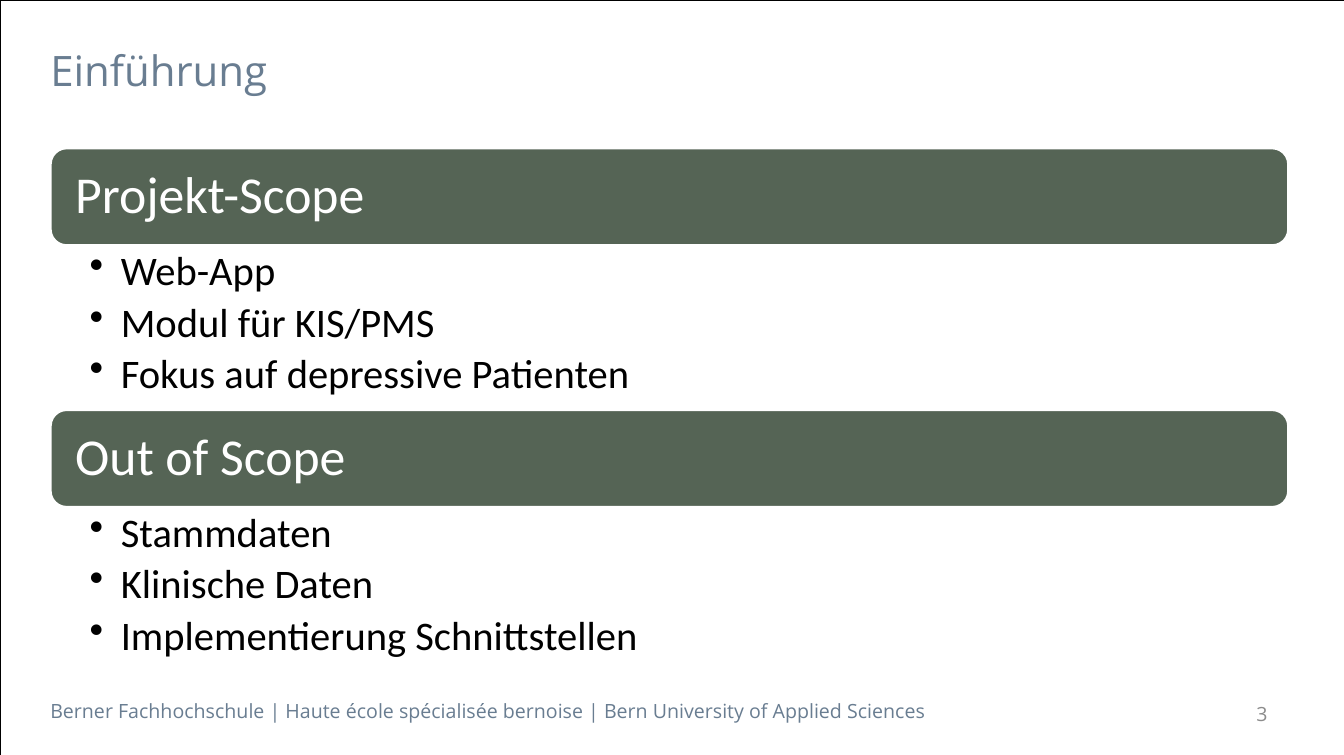
from lxml.etree import SubElement
from pptx import Presentation
from pptx.dml.color import RGBColor
from pptx.enum.shapes import MSO_SHAPE
from pptx.enum.text import MSO_ANCHOR, MSO_AUTO_SIZE, PP_ALIGN
from pptx.oxml.ns import qn
from pptx.util import Inches, Pt

WIDTH, HEIGHT = 13.35, 7.5
LEFT, CONTENT_W = 0.5, 12.3
TOP, HEADER_H, LIST_H = 1.47, 0.97, 1.63

COLORS = {
    "slate": "697D91",
    "green": "556455",
    "white": "FFFFFF",
    "black": "000000",
    "gray": "8C8C8C",
}

SECTIONS = [
    ("Projekt-Scope",
     ["Web-App", "Modul für KIS/PMS", "Fokus auf depressive Patienten"]),
    ("Out of Scope",
     ["Stammdaten", "Klinische Daten", "Implementierung Schnittstellen"]),
]


class SlideBuilder:
    heading_font = "Open Sans"
    body_font = "Calibri"

    def __init__(self, prs):
        self.s = prs.slides.add_slide(prs.slide_layouts[5])

    def color(self, name):
        return RGBColor.from_string(COLORS[name])

    def frame(self, sp, insets, anchor=MSO_ANCHOR.TOP):
        """Prepare the text frame; insets run left, top, right, bottom."""
        tf = sp.text_frame
        tf.word_wrap = True
        tf.auto_size = MSO_AUTO_SIZE.NONE
        tf.vertical_anchor = anchor
        tf.margin_left, tf.margin_top, tf.margin_right, tf.margin_bottom = map(
            Inches, insets)
        return tf

    def style(self, p, font, size, color, align=PP_ALIGN.LEFT):
        p.alignment = align
        for r in p.runs:
            r.font.name = font
            r.font.size = Pt(size)
            r.font.color.rgb = self.color(color)

    def shape(self, kind, box, line, width, fill=None):
        sp = self.s.shapes.add_shape(kind, *map(Inches, box))
        sp.shadow.inherit = False
        if fill:
            sp.fill.solid()
            sp.fill.fore_color.rgb = self.color(fill)
        else:
            sp.fill.background()
        sp.line.color.rgb = self.color(line)
        sp.line.width = Pt(width)
        return sp

    def border(self):
        self.shape(MSO_SHAPE.RECTANGLE, (0, 0, WIDTH, HEIGHT), "black", 0.5)

    def title(self, text, box):
        sp = self.s.shapes.title
        sp.left, sp.top, sp.width, sp.height = map(Inches, box)
        tf = self.frame(sp, (0, 0.05, 0, 0.05))
        tf.text = text
        self.style(tf.paragraphs[0], self.heading_font, 30, "slate")

    def label(self, text, box, color, insets, anchor=MSO_ANCHOR.TOP,
              align=PP_ALIGN.LEFT):
        sp = self.s.shapes.add_textbox(*map(Inches, box))
        tf = self.frame(sp, insets, anchor)
        tf.text = text
        self.style(tf.paragraphs[0], self.heading_font, 14, color, align)

    def header(self, text, top):
        sp = self.shape(MSO_SHAPE.ROUNDED_RECTANGLE,
                        (LEFT, top, CONTENT_W, HEADER_H), "white", 2, "green")
        tf = self.frame(sp, (0.2, 0.2, 0.2, 0.2), MSO_ANCHOR.MIDDLE)
        tf.text = text
        p = tf.paragraphs[0]
        p.line_spacing = 0.9
        self.style(p, self.body_font, 37, "white")

    def bullets(self, items, top):
        sp = self.s.shapes.add_textbox(
            *map(Inches, (LEFT, top, CONTENT_W, LIST_H)))
        tf = self.frame(sp, (0.39, 0.05, 0.29, 0.05))
        tf.text = "\n".join(items)
        for p in tf.paragraphs:
            p.level = 1
            p.line_spacing = 0.9
            p.space_after = Pt(5.5)
            pPr = p._p.get_or_add_pPr()
            pPr.set("marL", str(Inches(0.31)))
            pPr.set("indent", str(-Inches(0.31)))
            SubElement(pPr, qn("a:buChar")).set("char", "•")
            self.style(p, self.body_font, 29, "black")


def main():
    prs = Presentation()
    prs.slide_width, prs.slide_height = Inches(WIDTH), Inches(HEIGHT)
    slide = SlideBuilder(prs)

    slide.border()
    slide.title("Einführung", (LEFT, 0.39, CONTENT_W, 0.59))
    for i, (heading, items) in enumerate(SECTIONS):
        top = TOP + i * (HEADER_H + LIST_H)
        slide.header(heading, top)
        slide.bullets(items, top + HEADER_H)

    slide.label("Berner Fachhochschule | Haute école spécialisée bernoise | "
                "Bern University of Applied Sciences",
                (LEFT, 6.89, 9.77, 0.34), "slate", (0, 0.05, 0, 0.05))
    slide.label("3", (9.57, 6.89, 3.12, 0.4), "gray", (0.1, 0.05, 0.1, 0.05),
                MSO_ANCHOR.MIDDLE, PP_ALIGN.RIGHT)
    prs.save("out.pptx")


if __name__ == "__main__":
    main()
